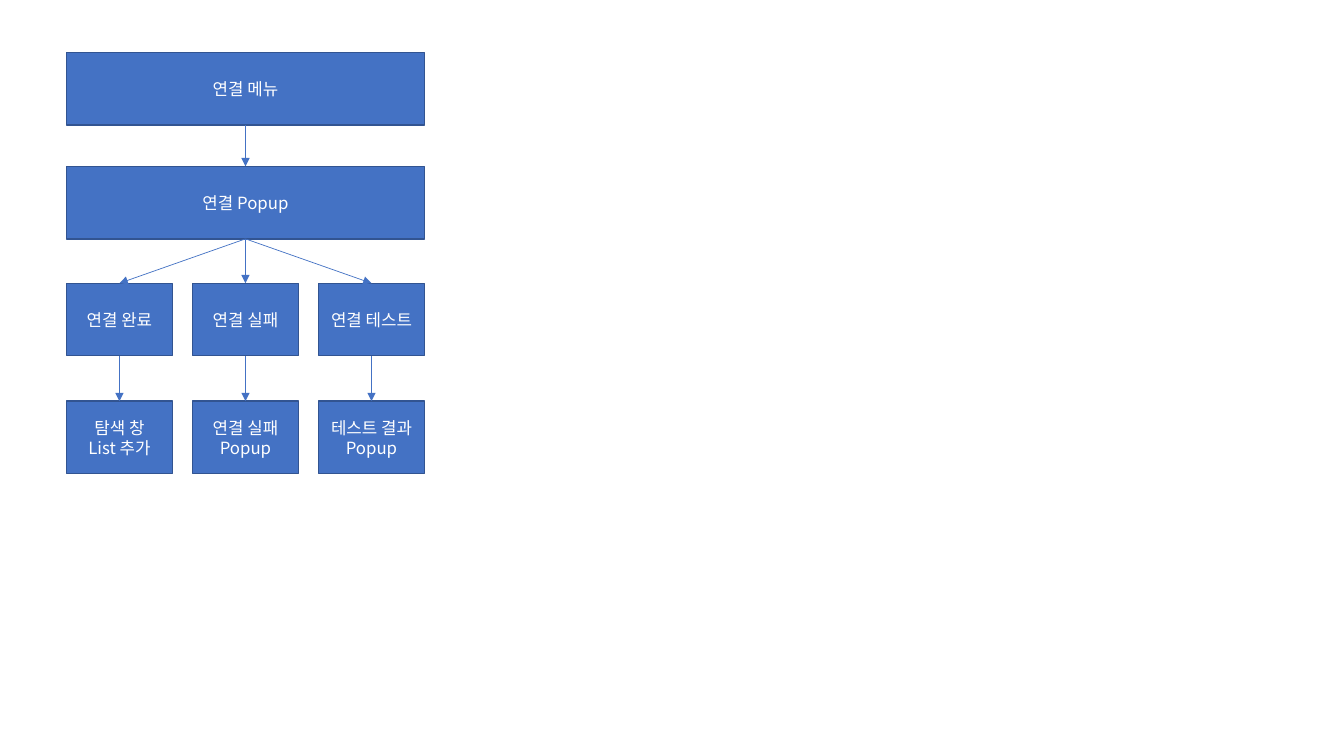
from dataclasses import dataclass

from lxml.etree import SubElement
from pptx import Presentation
from pptx.dml.color import RGBColor
from pptx.enum.shapes import MSO_CONNECTOR as Connector, MSO_SHAPE as Shape
from pptx.enum.text import MSO_ANCHOR as Anchor, PP_ALIGN as Align
from pptx.oxml.ns import qn
from pptx.util import Inches, Pt

# Content: one list per row of the flow, and the arrows between its steps
FLOW = [
    ["연결 메뉴"],
    ["연결 Popup"],
    ["연결 완료", "연결 실패", "연결 테스트"],
    ["탐색 창\vList 추가", "연결 실패\nPopup", "테스트 결과\nPopup"],
]
ARROWS = [  # (row, column) of the upper step, then of the lower step
    ((0, 0), (1, 0)),
    *[((1, 0), (2, column)) for column in range(3)],
    *[((2, column), (3, column)) for column in range(3)],
]


@dataclass(frozen=True)
class Theme:
    fill: RGBColor = RGBColor.from_string("4472C4")
    border: RGBColor = RGBColor.from_string("325491")
    text: RGBColor = RGBColor.from_string("FFFFFF")
    font: str = "Noto Sans CJK KR"
    size: float = 12
    border_width: float = 1
    arrow_width: float = 0.5


THEME = Theme()

# Grid, in inches
LEFT, FLOW_WIDTH = 0.66, 3.55
ROW_TOPS = (0.52, 1.65, 2.81, 3.98)
STEP_WIDTH, STEP_HEIGHT = 1.05, 0.72
BOTTOM, TOP = 2, 0  # connection sites


def write(frame, text, *, size, color, font, align):
    frame.word_wrap = True
    frame.vertical_anchor = Anchor.MIDDLE
    frame.text = text
    for paragraph in frame.paragraphs:
        paragraph.alignment = align
        for run in paragraph.runs:
            run.font.size = Pt(size)
            run.font.color.rgb = color
            run.font.name = font
            SubElement(run.font._element, qn("a:ea"), typeface=font)


def add_step(slide, text, left, top, width):
    step = slide.shapes.add_shape(
        Shape.RECTANGLE, Inches(left), Inches(top), Inches(width), Inches(STEP_HEIGHT))
    step.shadow.inherit = False
    step.fill.solid()
    step.fill.fore_color.rgb = THEME.fill
    step.line.color.rgb = THEME.border
    step.line.width = Pt(THEME.border_width)
    write(step.text_frame, text, size=THEME.size, color=THEME.text,
          font=THEME.font, align=Align.CENTER)
    return step


def add_arrow(slide, upper, lower):
    arrow = slide.shapes.add_connector(Connector.STRAIGHT, 0, 0, 0, 0)
    arrow.begin_connect(upper, BOTTOM)
    arrow.end_connect(lower, TOP)
    arrow.line.color.rgb = THEME.fill
    arrow.line.width = Pt(THEME.arrow_width)
    SubElement(arrow.line._get_or_add_ln(), qn("a:tailEnd"), type="triangle")
    SubElement(arrow._element.spPr, qn("a:effectLst"))


def main():
    deck = Presentation()
    deck.slide_width, deck.slide_height = Inches(13.33), Inches(7.5)
    slide = deck.slides.add_slide(deck.slide_layouts[6])

    # Steps: a single step spans the flow, several share it evenly
    steps = {}
    for row, (labels, top) in enumerate(zip(FLOW, ROW_TOPS)):
        width = FLOW_WIDTH if len(labels) == 1 else STEP_WIDTH
        pitch = (FLOW_WIDTH - width) / max(len(labels) - 1, 1)
        for column, label in enumerate(labels):
            steps[row, column] = add_step(slide, label, LEFT + column * pitch, top, width)

    # Arrows
    for upper, lower in ARROWS:
        add_arrow(slide, steps[upper], steps[lower])

    deck.save("out.pptx")


if __name__ == "__main__":
    main()
